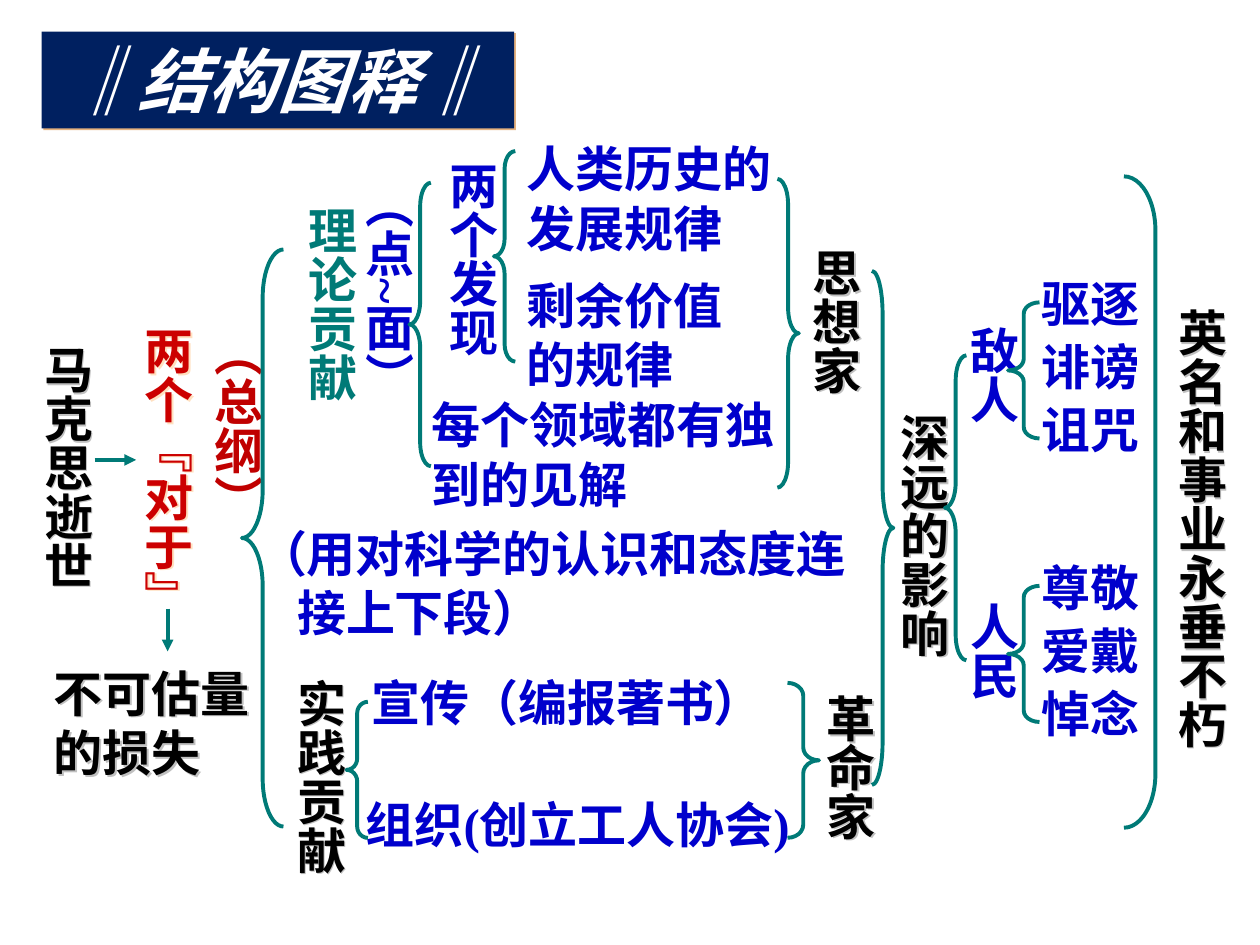
from pptx import Presentation
from pptx.dml.color import RGBColor
from pptx.enum.shapes import MSO_CONNECTOR, MSO_SHAPE
from pptx.enum.text import MSO_ANCHOR, MSO_AUTO_SIZE, PP_ALIGN
from pptx.oxml import parse_xml
from pptx.oxml.ns import nsdecls, qn
from pptx.util import Inches, Pt

COLORS = {
    "black": "000000", "blue": "0000CC", "red": "CC0000", "dark_red": "C00000",
    "teal": "007A77", "navy": "002060", "white": "FFFFFF",
    "silver": "C0C0C0", "peach": "FFE0C0", "orange": "CC6600",
}
TEXT_SHADOWS = {"black": "silver", "red": "peach"}
SANS, SERIF = "Noto Sans CJK SC", "Times New Roman"
LINE_RATIO = 1.21    # line height of horizontal text, in font sizes
CHAR_STEP = 0.39     # advance of one vertical character


def rgb(name):
    return RGBColor.from_string(COLORS[name])


def add_shadow(shape, color, alpha=100):
    shape._element.spPr.append(parse_xml(
        f'<a:effectLst {nsdecls("a")}>'
        '<a:outerShdw dist="18000" dir="2700000" algn="ctr" rotWithShape="0">'
        f'<a:srgbClr val="{COLORS[color]}"><a:alpha val="{alpha}000"/></a:srgbClr>'
        '</a:outerShdw></a:effectLst>'))


def write_text(frame, text, size=28, font=SERIF, color="blue", italic=False,
               align=PP_ALIGN.LEFT, hanging=0, vertical=False, wrap=True,
               fit=MSO_AUTO_SIZE.SHAPE_TO_FIT_TEXT):
    """Fill a text frame with one formatted paragraph."""
    frame.word_wrap = wrap
    frame.auto_size = fit
    frame.vertical_anchor = MSO_ANCHOR.MIDDLE
    side, end = (0.05, 0.1) if vertical else (0.1, 0.05)
    frame.margin_left = frame.margin_right = Inches(side)
    frame.margin_top = frame.margin_bottom = Inches(end)

    paragraph = frame.paragraphs[0]
    paragraph.alignment = align
    paragraph.space_before = Pt(0)
    if vertical:
        frame._txBody.bodyPr.set("vert", "eaVert")
    else:
        paragraph.line_spacing = Pt(round(size * LINE_RATIO))
    if hanging:
        properties = paragraph._p.get_or_add_pPr()
        properties.set("marL", str(Inches(hanging)))
        properties.set("indent", str(-Inches(hanging)))

    run = paragraph.add_run()
    run.text = text
    run.font.size, run.font.name = Pt(size), font
    run.font.bold, run.font.italic = True, italic
    run.font.color.rgb = rgb(color)
    run._r.get_or_add_rPr().find(qn("a:latin")).addnext(
        parse_xml(f'<a:ea {nsdecls("a")} typeface="{SANS}"/>'))


def add_label(slide, text, left, top, width, height, color="blue", **style):
    box = slide.shapes.add_textbox(*map(Inches, (left, top, width, height)))
    write_text(box.text_frame, text, color=color, **style)
    if color in TEXT_SHADOWS:
        box.fill.background()
        add_shadow(box, TEXT_SHADOWS[color])


def add_column(slide, text, left, top, **style):
    """Vertical label, as tall as its characters need."""
    height = CHAR_STEP * len(text) + 0.1
    add_label(slide, text, left, top, 0.66, height, vertical=True, wrap=False,
              align=PP_ALIGN.CENTER, **style)


def add_brace(slide, kind, left, top, width, height):
    brace = slide.shapes.add_shape(kind, *map(Inches, (left, top, width, height)))
    brace.adjustments[0] = height / (12 * width)
    brace.shadow.inherit = False
    brace.fill.background()
    brace.line.color.rgb = rgb("teal")
    brace.line.width = Pt(2.25)


def add_arrow(slide, *ends):
    arrow = slide.shapes.add_connector(MSO_CONNECTOR.STRAIGHT, *map(Inches, ends))
    arrow.line.color.rgb = rgb("teal")
    arrow.line.width = Pt(2.25)
    arrow.line._get_or_add_ln().append(
        parse_xml(f'<a:tailEnd {nsdecls("a")} type="triangle"/>'))
    arrow._element.spPr.append(parse_xml(f'<a:effectLst {nsdecls("a")}/>'))


def add_title(slide, text):
    title = slide.shapes.title
    title.left, title.top, title.width, title.height = map(
        Inches, (0.33, 0.25, 3.75, 0.77))
    title.fill.solid()
    title.fill.fore_color.rgb = rgb("navy")
    add_shadow(title, "orange", 50)
    write_text(title.text_frame, text, size=40, font=SANS, color="white",
               italic=True, align=PP_ALIGN.CENTER, fit=MSO_AUTO_SIZE.NONE)


def main():
    prs = Presentation()
    prs.slide_width, prs.slide_height = Inches(10), Inches(7.5)
    slide = prs.slides.add_slide(prs.slide_layouts[5])
    add_title(slide, "‖结构图释‖")

    # Vertical labels of the structure
    for text, left, top, color in [
        ("马克思逝世", 0.2, 2.64, "black"),
        ("两个﹃对于﹄", 1, 2.49, "red"),
        ("（总纲）", 1.55, 2.51, "dark_red"),
        ("理论贡献", 2.3, 1.54, "teal"),
        ("实践贡献", 2.21, 5.29, "black"),
        ("思想家", 6.3, 1.87, "black"),
        ("革命家", 6.41, 5.41, "black"),
        ("深远的影响", 7, 3.18, "black"),
        ("英名和事业永垂不朽", 9.2, 2.35, "black"),
    ]:
        add_column(slide, text, left, top, font=SANS, color=color)
    for text, left, top in [
        ("（点~面）", 2.75, 1.33), ("两个发现", 3.42, 1.18),
        ("敌人", 7.55, 2.49), ("人民", 7.55, 4.68),
    ]:
        add_column(slide, text, left, top)

    # Horizontal statements
    add_label(slide, "不可估量的损失", 0.33, 5.21, 1.83, 1.04,
              font=SANS, color="black")
    for text, left, top, width in [
        ("人类历史的发展规律", 4.08, 1.05, 2.25),
        ("剩余价值的规律", 4.08, 2.13, 1.92),
        ("每个领域都有独到的见解", 3.33, 3.08, 3),
    ]:
        add_label(slide, text, left, top, width, 1.04)
    add_label(slide, "（用对科学的认识和态度连接上下段）", 1.95, 4.1, 4.96, 1.04,
              hanging=0.31)
    add_label(slide, "宣传（编报著书）", 2.85, 5.28, 3.36, 0.57)
    add_label(slide, "组织(创立工人协会)", 2.75, 6.02, 3.67, 1.04,
              hanging=0.31, align=PP_ALIGN.CENTER)

    # Reactions of the enemies and of the people
    for first_top, reactions in [(2.12, ("驱逐", "诽谤", "诅咒")),
                                 (4.37, ("尊敬", "爱戴", "悼念"))]:
        for row, reaction in enumerate(reactions):
            add_label(slide, reaction, 8.17, first_top + 0.5 * row, 1, 0.57)

    # Braces and the closing bracket
    for kind, places in [
        (MSO_SHAPE.LEFT_BRACE, [
            (1.92, 1.98, 0.33, 4.58), (3.25, 1.45, 0.17, 2.25),
            (3.92, 1.2, 0.17, 1.67), (2.75, 5.57, 0.17, 1.08),
            (7.5, 2.82, 0.17, 2.42), (8, 2.4, 0.25, 1.08),
            (8, 4.65, 0.25, 1.08)]),
        (MSO_SHAPE.RIGHT_BRACE, [
            (6.17, 1.42, 0.17, 2.45), (6.25, 5.42, 0.25, 1.23),
            (6.92, 2.15, 0.17, 4.08)]),
        (MSO_SHAPE.RIGHT_BRACKET, [(8.92, 1.4, 0.25, 5.17)]),
    ]:
        for place in places:
            add_brace(slide, kind, *place)

    # Arrows
    add_arrow(slide, 0.75, 3.65, 1.08, 3.65)
    add_arrow(slide, 1.33, 4.83, 1.33, 5.17)

    prs.save("out.pptx")


if __name__ == "__main__":
    main()
